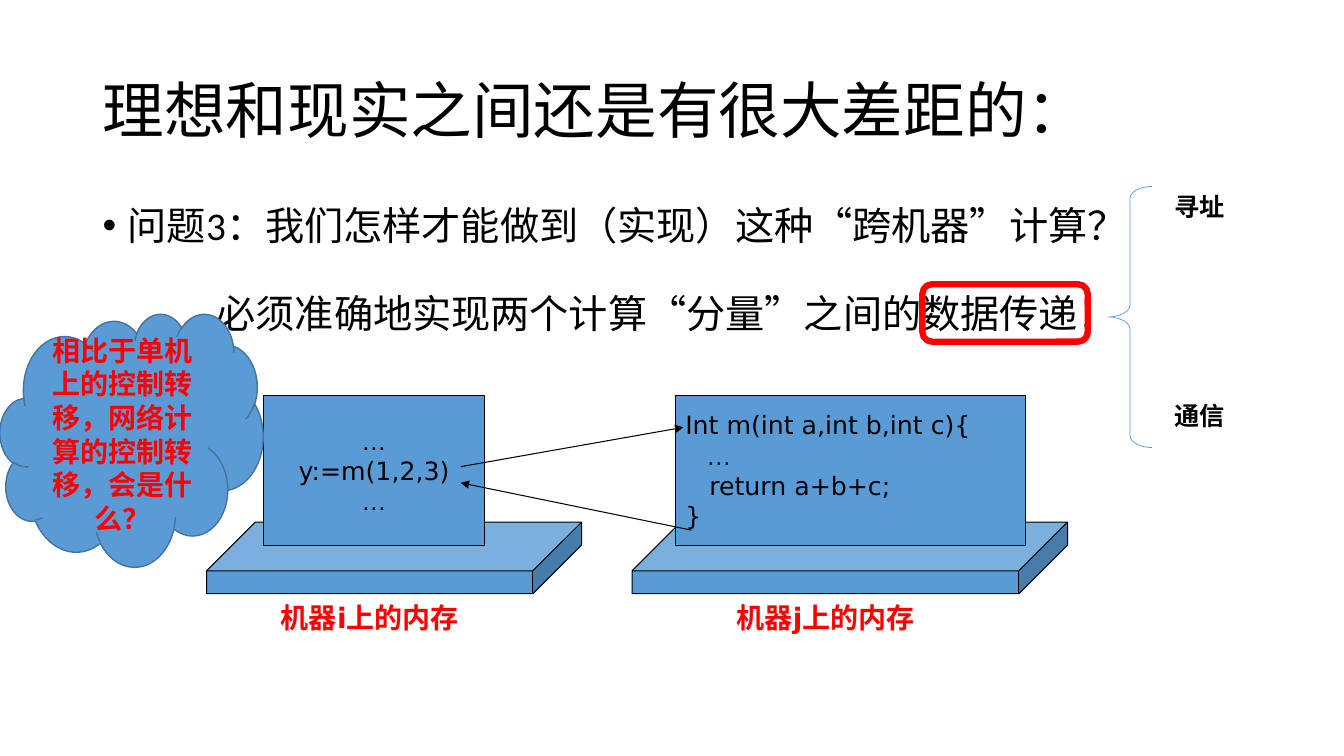
"""Slide on how two machines pass data to compute together."""
from dataclasses import dataclass
from typing import Optional

from lxml import etree
from pptx import Presentation
from pptx.dml.color import RGBColor
from pptx.enum.shapes import MSO_CONNECTOR, MSO_SHAPE
from pptx.enum.text import MSO_ANCHOR, PP_ALIGN
from pptx.oxml.ns import qn
from pptx.util import Inches, Pt

LINE = MSO_CONNECTOR.STRAIGHT
BLOCK, CUBE, CLOUD = MSO_SHAPE.RECTANGLE, MSO_SHAPE.CUBE, MSO_SHAPE.CLOUD
ROUND, BRACE = MSO_SHAPE.ROUNDED_RECTANGLE, MSO_SHAPE.LEFT_BRACE
LEFT, MID = PP_ALIGN.LEFT, PP_ALIGN.CENTER
TOP, CENTER = MSO_ANCHOR.TOP, MSO_ANCHOR.MIDDLE

WIDE, HIGH = Inches(13.33), Inches(7.5)
COL, ROW = WIDE / 100, HIGH / 100
BLACK, RED, BLUE, EDGE = "000000", "FF0000", "5B9BD5", "43739E"
BASE, CODE, DOTS = "Calibri", "DejaVu Sans", "Arial"
DEPTH = 3.6


@dataclass
class Area:
    x: float
    y: float
    w: float
    h: float


@dataclass
class Words:
    text: str
    size: float
    font: str = BASE
    color: str = BLACK
    bold: bool = False
    align: int = LEFT
    anchor: int = TOP
    space: Optional[float] = None


@dataclass
class Form:
    kind: int
    area: Area
    fill: Optional[str]
    line: str
    width: float
    adjust: tuple = ()
    words: Optional[Words] = None


@dataclass
class Host:
    name: str
    base: Area
    block: Area
    code: str
    align: int


def paint(code: str) -> RGBColor:
    return RGBColor.from_string(code)


def place(area: Area) -> list:
    return [round(v) for v in (area.x * COL, area.y * ROW, area.w * COL, area.h * ROW)]


def write(shape, words: Words) -> None:
    frame = shape.text_frame
    frame.word_wrap = True
    frame.vertical_anchor = words.anchor
    frame.text = words.text
    for para in frame.paragraphs:
        para.alignment = words.align
        if words.space:
            para.line_spacing = words.space
        for run in para.runs:
            font = run.font
            font.name = DOTS if run.text.strip() == "…" else words.font
            font.size, font.bold = Pt(words.size), words.bold
            font.color.rgb = paint(words.color)


def label(slide, area: Area, words: Words):
    box = slide.shapes.add_textbox(*place(area))
    write(box, words)
    return box


def draw(slide, form: Form) -> None:
    shape = slide.shapes.add_shape(form.kind, *place(form.area))
    shape.shadow.inherit = False
    for i, value in enumerate(form.adjust):
        shape.adjustments[i] = value
    if form.fill:
        shape.fill.solid()
        shape.fill.fore_color.rgb = paint(form.fill)
    else:
        shape.fill.background()
    shape.line.color.rgb = paint(form.line)
    shape.line.width = Pt(form.width)
    if form.words:
        write(shape, form.words)


def host(slide, item: Host) -> None:
    base = item.base
    draw(slide, Form(CUBE, base, BLUE, BLACK, 0.75, (0.68,)))
    draw(slide, Form(BLOCK, item.block, BLUE, BLACK, 0.75, (),
                     Words(item.code, 18, CODE, align=item.align, anchor=CENTER)))
    label(slide, Area(base.x, 78.93, base.w - DEPTH, 5.33),
          Words(f"机器{item.name}上的内存", 20, CODE, RED, True, MID, CENTER))


def arrow(slide, x: float, y: float, to_x: float, to_y: float) -> None:
    ends = (x * COL, y * ROW, to_x * COL, to_y * ROW)
    link = slide.shapes.add_connector(LINE, *map(round, ends))
    link.line.color.rgb = paint(BLACK)
    link.line.width = Pt(0.75)
    props = link._element.spPr
    etree.SubElement(props.find(qn("a:ln")), qn("a:tailEnd"), type="triangle")
    etree.SubElement(props, qn("a:effectLst"))


def bullet(box) -> None:
    props = box.text_frame.paragraphs[0]._p.get_or_add_pPr()
    props.set("marL", str(Inches(0.25)))
    props.set("indent", str(Inches(-0.25)))
    etree.SubElement(props, qn("a:buFont"), typeface=DOTS)
    etree.SubElement(props, qn("a:buChar"), char="•")


HOSTS = (
    Host("j", Area(47.03, 69.07, 32.4, 9.47), Area(50.25, 52.27, 26.03, 19.87),
         "Int m(int a,int b,int c){\n   …\n   return a+b+c;\n}", LEFT),
    Host("i", Area(15.38, 69.07, 27.9, 9.47), Area(19.58, 52.27, 16.5, 19.87),
         "…\ny:=m(1,2,3)\n…", MID),
)
ARROWS = ((34.28, 61.73, 50.85, 56.53), (51.45, 70.13, 34.28, 63.87))
TOPICS = (("寻址", 24.67), ("通信", 52.27))
FORMS = (
    Form(ROUND, Area(68.63, 37.6, 12.3, 7.6), None, RED, 4.5),
    Form(BRACE, Area(82.43, 24.67, 3.3, 34.53), None, BLUE, 0.5, (0.27, 0.5)),
    Form(CLOUD, Area(0, 41.47, 19.58, 33.47), BLUE, EDGE, 1, (),
         Words("相比于单机上的控制转移，网络计算的控制转移，会是什么？",
               20, BASE, RED, True, MID, CENTER)),
)


def main() -> None:
    deck = Presentation()
    deck.slide_width, deck.slide_height = WIDE, HIGH
    slide = deck.slides.add_slide(deck.slide_layouts[6])
    label(slide, Area(6.9, 5.33, 86.25, 19.33),
          Words("理想和现实之间还是有很大差距的：", 44, anchor=CENTER, space=0.9))
    bullet(label(slide, Area(6.9, 26.67, 86.25, 63.47),
                 Words("问题3：我们怎样才能做到（实现）这种“跨机器”计算？", 28, space=0.9)))
    for item in HOSTS:
        host(slide, item)
    for ends in ARROWS:
        arrow(slide, *ends)
    label(slide, Area(15.38, 37.6, 69.23, 7.6),
          Words("必须准确地实现两个计算“分量”之间的数据传递！", 28))
    for form in FORMS:
        draw(slide, form)
    for text, y in TOPICS:
        label(slide, Area(86.63, y, 5.33, 5.33), Words(text, 18, bold=True))
    deck.save("out.pptx")


if __name__ == "__main__":
    main()
